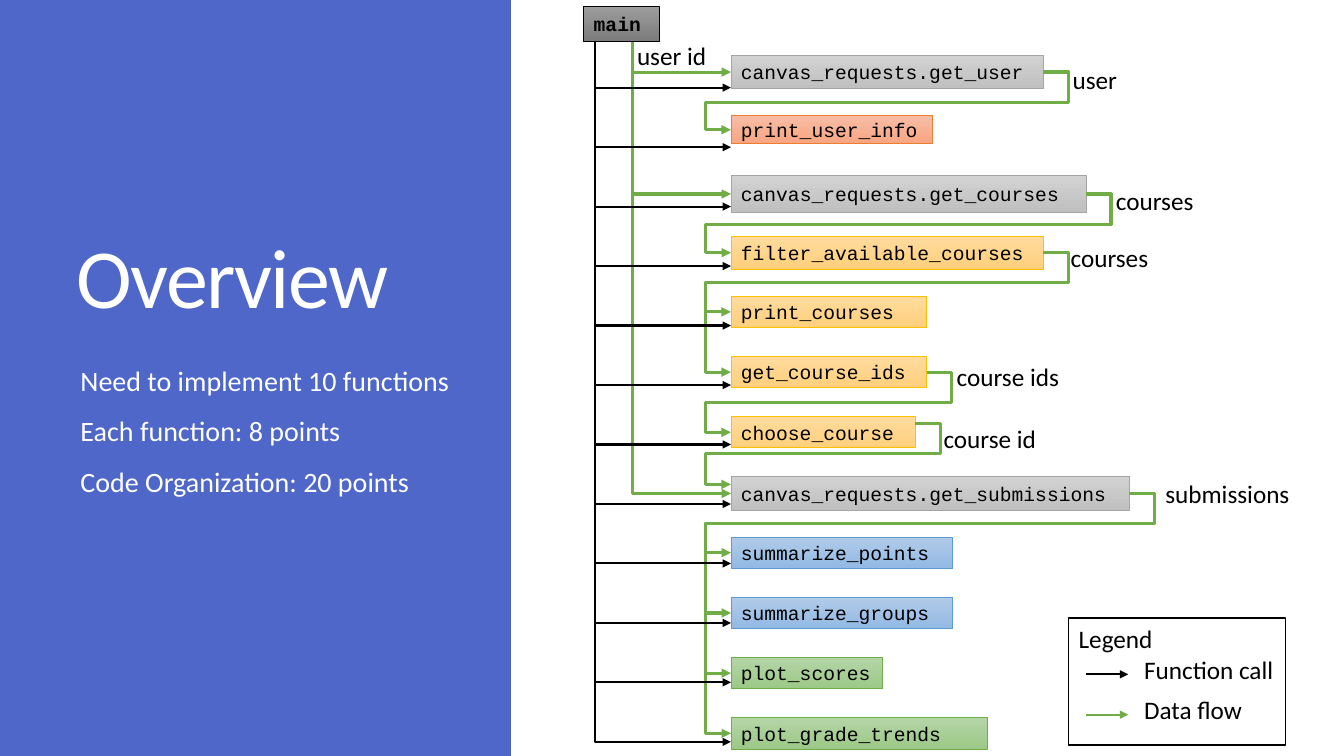
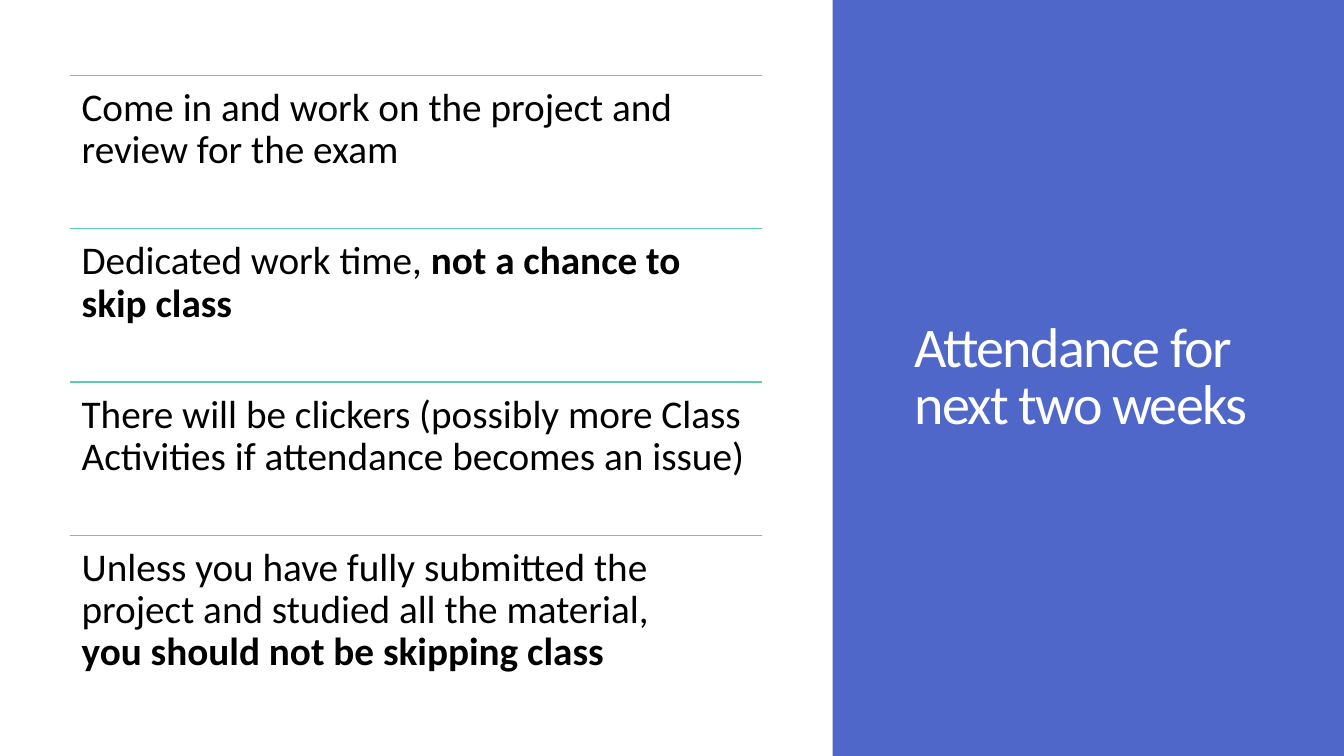
from dataclasses import dataclass

from lxml import etree
from pptx import Presentation
from pptx.dml.color import RGBColor
from pptx.enum.shapes import MSO_CONNECTOR, MSO_SHAPE
from pptx.enum.text import MSO_ANCHOR, MSO_AUTO_SIZE, PP_ALIGN
from pptx.oxml.ns import qn
from pptx.util import Inches, Pt

RECT = MSO_SHAPE.RECTANGLE
STRAIGHT, ELBOW = MSO_CONNECTOR.STRAIGHT, MSO_CONNECTOR.ELBOW
TOP, MIDDLE, BOTTOM = MSO_ANCHOR.TOP, MSO_ANCHOR.MIDDLE, MSO_ANCHOR.BOTTOM
TITLE_ONLY = 5


@dataclass(frozen=True)
class Theme:
    font: str = "Calibri"
    code_font: str = "Courier New"
    blue: str = "4E67C8"
    white: str = "FFFFFF"
    black: str = "000000"
    flow: str = "70AD47"
    rule: str = "5DCEAF"
    code: int = 14
    label: int = 18
    body: int = 20
    statement: int = 28
    small_title: int = 40
    big_title: int = 60


T = Theme()

# Gradient start, gradient end and outline of each group of functions
BOX_COLOURS = {
    "main": ("9D9D9D", "7C7C7C", T.black),
    "request": ("D2D2D2", "C0C0C0", "A5A5A5"),
    "user": ("F7BDA5", "F8A582", "ED7D31"),
    "course": ("FFDB9E", "FFD07C", "FFC000"),
    "summary": ("B1CBE9", "93B9E4", "5B9BD5"),
    "plot": ("B5D5A7", "9CC987", T.flow),
}

# Name, group, width, height
FUNCTIONS = [
    ("canvas_requests.get_user", "request", 3.1, 0.33),
    ("print_user_info", "user", 2, 0.28),
    ("canvas_requests.get_courses", "request", 3.52, 0.36),
    ("filter_available_courses", "course", 3.1, 0.33),
    ("print_courses", "course", 1.94, 0.31),
    ("get_course_ids", "course", 1.94, 0.31),
    ("choose_course", "course", 1.83, 0.31),
    ("canvas_requests.get_submissions", "request", 3.95, 0.33),
    ("summarize_points", "summary", 2.2, 0.31),
    ("summarize_groups", "summary", 2.2, 0.31),
    ("plot_scores", "plot", 1.5, 0.31),
    ("plot_grade_trends", "plot", 2.54, 0.31),
]

# Source row, target rows, vertical shift, label, label left, label top
FLOWS = [
    (0, [1], 0, "user", 10.54, 0.59),
    (2, [3], 0, "courses", 10.97, 1.79),
    (3, [4, 5], 0, "courses", 10.52, 2.35),
    (5, [6], 0, "course ids", 9.39, 3.54),
    (6, [7], -0.09, "course id", 9.26, 4.15),
    (7, [8, 9, 10, 11], 0, "submissions", 11.46, 4.7),
]
USER_ID_ROWS = [0, 2, 7]

BOX_LEFT = 7.25
FIRST_TOP, LAST_TOP = 0.55, 7.12
ROW_PITCH = (LAST_TOP - FIRST_TOP) / (len(FUNCTIONS) - 1)
CALL_X, CALL_TOP, CALL_PITCH = 5.9, 0.87, 0.59
USER_ID_X = 6.27
MAIN_BOTTOM = 0.41
LANE_GAP, LANE_DROP = 0.25, 0.3
TRUNK = 0.001  # bend right at the start, so branches share one trunk

OVERVIEW = ["Need to implement 10 functions", "Each function: 8 points",
            "Code Organization: 20 points"]

# Plain part, bold part, whether the bold part starts a new line
STATEMENTS = [
    ("Come in and work on the project and review for the exam", "", False),
    ("Dedicated work time, ", "not a chance to skip class", False),
    ("There will be clickers (possibly more Class Activities if attendance "
     "becomes an issue)", "", False),
    ("Unless you have fully submitted the project and studied all the "
     "material,", "you should not be skipping class", True),
]


def rgb(value):
    return RGBColor.from_string(value)


def box_at(*lengths):
    return [Inches(v) for v in lengths]


def add_run(p, text, size, colour=T.black, **font):
    r = p.add_run()
    r.text = text
    for name, value in {"name": T.font, "size": Pt(size), **font}.items():
        setattr(r.font, name, value)
    r.font.color.rgb = rgb(colour)
    return r


def set_frame(tf, anchor=TOP, **margins):
    for name, value in {"word_wrap": True, "auto_size": MSO_AUTO_SIZE.NONE,
                        "vertical_anchor": anchor, **margins}.items():
        setattr(tf, name, value)
    tf.paragraphs[0].alignment = PP_ALIGN.LEFT


def add_label(s, x, y, text, width=1.6):
    tf = s.shapes.add_textbox(*box_at(x, y, width, 0.4)).text_frame
    set_frame(tf)
    add_run(tf.paragraphs[0], text, T.label)


def add_rect(s, x, y, w, h, fill=None, line=None, weight=1):
    sp = s.shapes.add_shape(RECT, *box_at(x, y, w, h))
    sp.shadow.inherit = False
    if fill:
        sp.fill.solid()
        sp.fill.fore_color.rgb = rgb(fill)
    if line:
        sp.line.color.rgb = rgb(line)
        sp.line.width = Pt(weight)
    else:
        sp.line.fill.background()
    return sp


def add_code_box(s, x, y, w, h, text, group, bold=False):
    start, end, outline = BOX_COLOURS[group]
    sp = add_rect(s, x, y, w, h, line=outline, weight=0.5)
    sp.fill.gradient()
    sp.fill.gradient_angle = 270
    for stop, colour in zip(sp.fill.gradient_stops, (start, end)):
        stop.color.rgb = rgb(colour)
    set_frame(sp.text_frame, MIDDLE)
    add_run(sp.text_frame.paragraphs[0], text, T.code, name=T.code_font,
            bold=bold)


def add_line(s, start, end, colour, weight, arrow=True, bends=()):
    """Straight without bends; otherwise an elbow with its bends as fractions."""
    kind = ELBOW if bends else STRAIGHT
    c = s.shapes.add_connector(kind, *box_at(*start, *end))
    c.line.color.rgb = rgb(colour)
    c.line.width = Pt(weight)
    sp_pr = c._element.spPr
    if arrow:
        etree.SubElement(c.line._get_or_add_ln(), qn("a:tailEnd"),
                         type="triangle")
    etree.SubElement(sp_pr, qn("a:effectLst"))
    if bends:
        geom = sp_pr.find(qn("a:prstGeom"))
        geom.set("prst", f"bentConnector{len(bends) + 2}")
        guides = geom.find(qn("a:avLst"))
        for i, bend in enumerate(bends, 1):
            etree.SubElement(guides, qn("a:gd"), name=f"adj{i}",
                             fmla=f"val {round(bend * 100000)}")


def add_loop(s, start, end):
    """Data flow that leaves a box on its right and enters a lower one on its left."""
    width, height = start[0] - end[0], end[1] - start[1]
    side = LANE_GAP / width
    add_line(s, start, end, T.flow, 2.25,
             bends=(-side, LANE_DROP / height, 1 + side))


def add_slide(prs, title, title_box, size, spacing, anchor, panel_left):
    """Blue slide with a white content panel and a white title."""
    s = prs.slides.add_slide(prs.slide_layouts[TITLE_ONLY])
    s.background.fill.solid()
    s.background.fill.fore_color.rgb = rgb(T.blue)
    add_rect(s, panel_left, 0, 8.26, 7.5, T.white)
    sp = s.shapes.title
    sp.left, sp.top, sp.width, sp.height = box_at(*title_box)
    set_frame(sp.text_frame, anchor)
    p = sp.text_frame.paragraphs[0]
    p.line_spacing = spacing
    r = add_run(p, title, size, T.white)
    r.font._element.set("spc", "-120")
    return s


def add_overview_text(s):
    tf = s.shapes.add_textbox(*box_at(0.7, 3.39, 4, 1.56)).text_frame
    set_frame(tf)
    for i, text in enumerate(OVERVIEW):
        p = tf.add_paragraph() if i else tf.paragraphs[0]
        p.line_spacing = 1.5
        add_run(p, text, T.body, T.white)


def add_call_graph(s):
    middles = []
    for i, (name, group, w, h) in enumerate(FUNCTIONS):
        top = FIRST_TOP + i * ROW_PITCH
        middles.append(top + h / 2)
        add_code_box(s, BOX_LEFT, top, w, h, name, group)
    for source, targets, shift, label, x, y in FLOWS:
        right = BOX_LEFT + FUNCTIONS[source][2]
        for target in targets:
            add_loop(s, (right, middles[source] + shift),
                     (BOX_LEFT, middles[target] + shift))
        add_label(s, x, y, label)
    for row in USER_ID_ROWS:
        add_line(s, (USER_ID_X, MAIN_BOTTOM), (BOX_LEFT, middles[row]),
                 T.flow, 2.25, bends=(TRUNK,))
    for i in range(len(FUNCTIONS)):
        add_line(s, (CALL_X, MAIN_BOTTOM),
                 (BOX_LEFT, CALL_TOP + i * CALL_PITCH),
                 T.black, 1.5, bends=(TRUNK,))
    add_label(s, 6.22, 0.35, "user id", 1.07)
    add_code_box(s, 5.79, 0.06, 0.75, 0.35, "main", "main", bold=True)


def add_legend(s):
    sp = add_rect(s, 10.6, 6.13, 2.15, 1.26, T.white, T.black)
    set_frame(sp.text_frame)
    add_run(sp.text_frame.paragraphs[0], "Legend", T.label)
    entries = [("Function call", T.black, 6.44), ("Data flow", T.flow, 6.84)]
    for text, colour, y in entries:
        add_line(s, (10.77, y + 0.25), (11.19, y + 0.25), colour, 1.5)
        add_label(s, 11.25, y, text)


def add_statements(s):
    left, top, width, pitch = 0.69, 0.75, 6.87, 1.52
    inset = Inches(0.12)
    for i, (plain, bold, new_line) in enumerate(STATEMENTS):
        y = top + i * pitch
        add_line(s, (left, y), (left + width, y), T.rule, 0.75, arrow=False)
        tf = s.shapes.add_textbox(*box_at(left, y, width, pitch)).text_frame
        set_frame(tf, margin_left=inset, margin_right=inset,
                  margin_top=inset, margin_bottom=inset)
        p = tf.paragraphs[0]
        p.line_spacing = 0.9
        add_run(p, plain, T.statement)
        if new_line:
            p.add_line_break()
        if bold:
            add_run(p, bold, T.statement, bold=True)


def main():
    prs = Presentation()
    prs.slide_width, prs.slide_height = box_at(13.33, 7.5)

    s = add_slide(prs, "Overview", (0.66, 0.84, 3.79, 2.43), T.big_title,
                  0.8, BOTTOM, panel_left=5.07)
    add_overview_text(s)
    add_call_graph(s)
    add_legend(s)

    s = add_slide(prs, "Attendance for next two weeks",
                  (8.97, 0.7, 3.66, 6.11), T.small_title, 0.85, MIDDLE,
                  panel_left=0)
    add_statements(s)

    prs.save("out.pptx")


if __name__ == "__main__":
    main()
